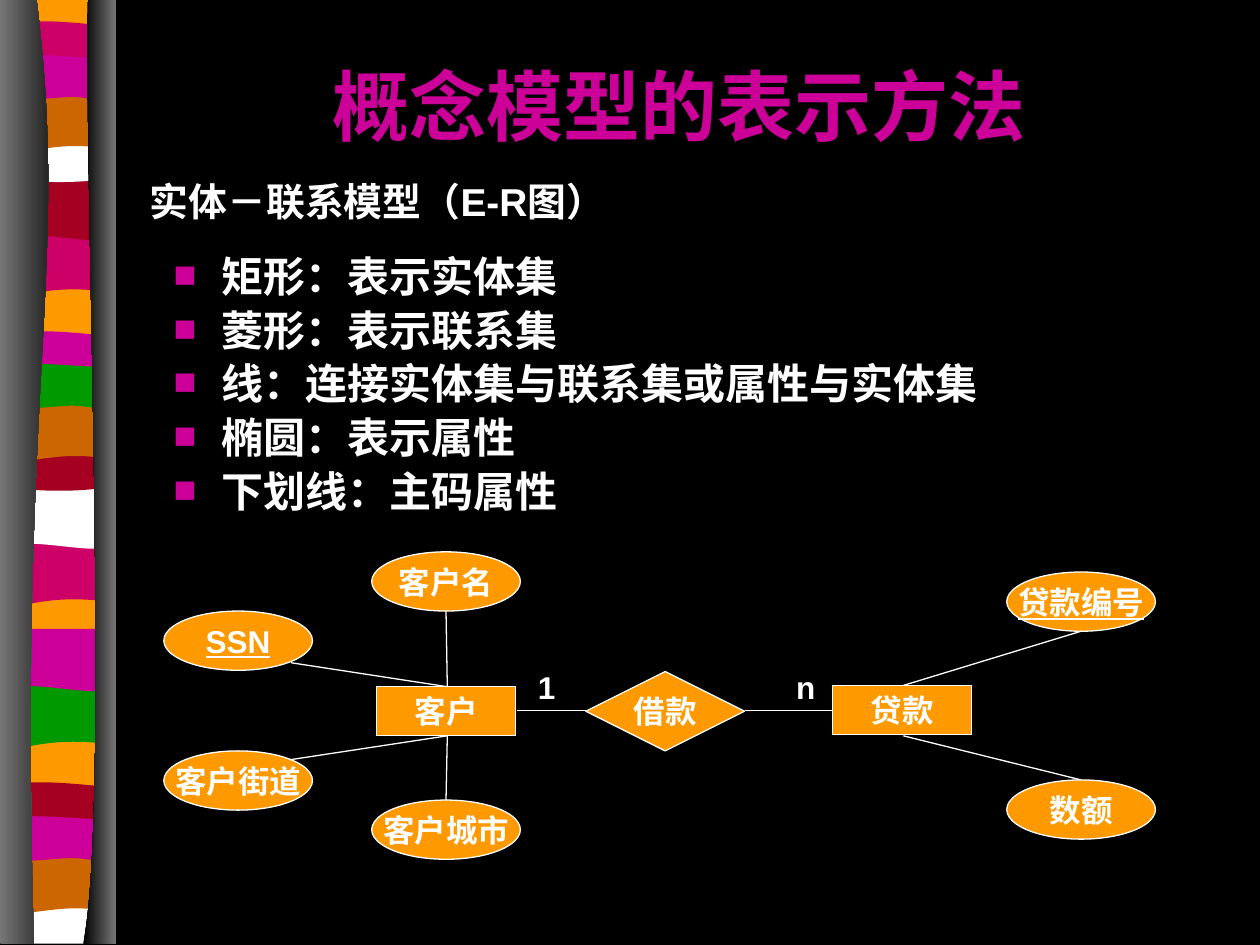
from dataclasses import dataclass

from lxml import etree
from pptx import Presentation
from pptx.dml.color import RGBColor
from pptx.enum import shapes as sh, text as tx
from pptx.oxml import ns
from pptx.util import Inches, Pt


@dataclass(frozen=True)
class Theme:
    black: str = "000000"
    gray: str = "767676"
    white: str = "FFFFFF"
    orange: str = "FF9900"
    pink: str = "CC0066"
    purple: str = "CC0099"
    red: str = "A50021"
    brown: str = "CC6600"
    green: str = "009900"
    serif: str = "Times New Roman"
    sans: str = "Arial"
    cjk: str = "Noto Sans CJK SC"
    title: float = 44
    lead: float = 22.2
    item: float = 24
    node: float = 18
    line: float = 0.75


T = Theme()
KIND = sh.MSO_SHAPE
LEFT, RIGHT = 0.04, 0.9

WAVES = {
    "dip": [(RIGHT, 0), (RIGHT, 0, RIGHT, 0.47, RIGHT, 0.47),
            (0.31, 0.39, 0.19, 0.55, LEFT, 0.47), (LEFT, 0), (RIGHT, 0)],
    "roll": [(RIGHT, 0), (RIGHT, 0.47),
             (0.75, 0.55, 0.31, 0.41, LEFT, 0.47), (LEFT, 0), (RIGHT, 0)],
    "crest": [(RIGHT, 0.05), (RIGHT, 0.29),
              (0.75, 0.33, 0.19, 0.33, LEFT, 0.29), (LEFT, 0.05),
              (0.1, 0, 0.23, 0.01, 0.37, 0.01),
              (0.51, 0.01, 0.79, 0.04, RIGHT, 0.05)],
    "bowl": [(RIGHT, 0), (RIGHT, 0.32),
             (0.75, 0.38, 0.19, 0.38, LEFT, 0.32), (LEFT, 0),
             (0.57, 0.05, 0.72, 0, RIGHT, 0)],
    "arch": [(RIGHT, 0), (RIGHT, 0, RIGHT, 0.47, RIGHT, 0.47),
             (0.77, 0.42, 0.71, 0.42, 0.57, 0.42),
             (0.43, 0.42, 0.17, 0.47, LEFT, 0.47), (LEFT, 0), (RIGHT, 0)],
    "flag": [(RIGHT, 0), (RIGHT, 0.31),
             (0.84, 0.36, 0.71, 0.31, 0.57, 0.31),
             (0.43, 0.31, 0.13, 0.36, LEFT, 0.31), (LEFT, 0),
             (0.16, -0.05, 0.62, 0, 0.76, 0),
             (0.91, 0, 0.87, 0, RIGHT, 0)],
    "foot": [(RIGHT, 0), (RIGHT, 0.37), (LEFT, 0.37), (LEFT, 0),
             (0.57, 0.05, 0.72, 0, RIGHT, 0)],
    "base": [(RIGHT, 0), (RIGHT, 7.48), (LEFT, 7.48), (LEFT, 0), (RIGHT, 0)],
}

BANDS = [
    ("base", -0.01, T.orange),
    ("dip", 1.85, T.pink), ("roll", 1.41, T.red), ("crest", 0.16, T.pink),
    ("bowl", 1.08, T.white), ("arch", 0.74, T.brown), ("flag", 0.46, T.purple),
    ("dip", 4.31, T.pink), ("roll", 3.86, T.white), ("crest", 2.62, T.purple),
    ("bowl", 3.53, T.red), ("arch", 3.2, T.brown), ("flag", 2.91, T.green),
    ("dip", 5.44, T.green), ("roll", 4.99, T.purple), ("crest", 6.2, T.red),
    ("foot", 7.12, T.white), ("arch", 6.79, T.brown), ("flag", 6.5, T.purple),
]

EDGES = [
    ([(0.29, -0.01), (0.56, 2.16, 0.14, 2.96, 0.27, 7.49), (0, 7.49),
      (0, -0.01), (0.29, -0.01)], (T.gray, T.black)),
    ([(0.7, -0.01), (0.66, 1.25, 0.88, 6.46, 0.66, 7.49), (0.92, 7.49),
      (0.92, 0), (0.7, -0.01)], (T.black, T.gray)),
]

ITEMS = ["矩形：表示实体集", "菱形：表示联系集",
         "线：连接实体集与联系集或属性与实体集", "椭圆：表示属性", "下划线：主码属性"]

SIZES = {KIND.OVAL: (1.18, 0.47), KIND.RECTANGLE: (1.1, 0.39),
         KIND.DIAMOND: (1.26, 0.63)}

NODES = [
    (KIND.OVAL, 2.95, 4.38, "客户名", False),
    (KIND.RECTANGLE, 2.99, 5.45, "客户", False),
    (KIND.OVAL, 1.3, 4.85, "SSN", True),
    (KIND.OVAL, 1.3, 5.96, "客户街道", False),
    (KIND.OVAL, 2.95, 6.35, "客户城市", False),
    (KIND.DIAMOND, 4.65, 5.33, "借款", False),
    (KIND.RECTANGLE, 6.61, 5.44, "贷款", False),
    (KIND.OVAL, 7.99, 6.19, "数额", False),
    (KIND.OVAL, 7.99, 4.54, "贷款编号", True),
]

LINKS = [
    (2.31, 5.26, 3.55, 5.45), (3.54, 4.85, 3.55, 5.45),
    (2.3, 6.03, 3.55, 5.84), (3.54, 6.35, 3.55, 5.84),
    (4.1, 5.64, 4.65, 5.64), (5.91, 5.64, 6.61, 5.64),
    (7.17, 5.44, 8.58, 5.01), (7.17, 5.84, 8.58, 6.19),
]


def rgb(code):
    return RGBColor.from_string(code)


def curve(lines):
    bend = etree.Element(ns.qn("a:cubicBezTo"))
    lines[0].addprevious(bend)
    for line in lines:
        bend.append(line[0])
        line.getparent().remove(line)


def outline(slide, steps, top=0):
    pts = [(Inches(x), Inches(y + top))
           for step in steps for x, y in zip(step[::2], step[1::2])]
    form = slide.shapes.build_freeform(*pts[0])
    form.add_line_segments(pts[1:], close=True)
    shape = form.convert_to_shape()
    lines = iter(list(shape._element.iter(ns.qn("a:lnTo"))))
    for step in steps[1:]:
        part = [next(lines) for _ in step[::2]]
        if len(part) == 3:
            curve(part)
    shape.shadow.inherit = False
    shape.line.fill.background()
    return shape


def band(slide, wave, top, color):
    shape = outline(slide, WAVES[wave], top)
    shape.fill.solid()
    shape.fill.fore_color.rgb = rgb(color)


def edge(slide, steps, colors):
    fill = outline(slide, steps).fill
    fill.gradient()
    fill.gradient_angle = 0
    for stop, color in zip(fill.gradient_stops, colors):
        stop.color.rgb = rgb(color)


def write(para, words, size, face=T.sans, color=T.white, under=False):
    run = para.add_run()
    run.text = words
    font = run.font
    font.name, font.size, font.bold = face, Pt(size), True
    font.color.rgb = rgb(color)
    if under:
        font.underline = True
    latin = run._r.rPr.find(ns.qn("a:latin"))
    east = etree.Element(ns.qn("a:ea"), typeface=T.cjk)
    latin.addnext(east)


def textbox(slide, x, y, w, h):
    box = slide.shapes.add_textbox(*map(Inches, (x, y, w, h)))
    box.text_frame.word_wrap = True
    return box.text_frame


def bullet(para):
    props = para._p.get_or_add_pPr()
    props.set("marL", str(Inches(0.38)))
    props.set("indent", str(-Inches(0.38)))
    tint = etree.SubElement(props, ns.qn("a:buClr"))
    etree.SubElement(tint, ns.qn("a:srgbClr"), val=T.purple)
    etree.SubElement(props, ns.qn("a:buSzPct"), val="90000")
    etree.SubElement(props, ns.qn("a:buFont"), typeface=T.sans)
    etree.SubElement(props, ns.qn("a:buChar"), char="■")


def listing(slide):
    frame = textbox(slide, 1.28, 2.05, 7.1, 2.21)
    for i, words in enumerate(ITEMS):
        para = frame.add_paragraph() if i else frame.paragraphs[0]
        bullet(para)
        para.line_spacing = 0.7
        if i:
            para.space_before = Pt(10.5)
        write(para, words, T.item, T.cjk)


def node(slide, kind, x, y, words, key):
    shape = slide.shapes.add_shape(kind, *map(Inches, (x, y, *SIZES[kind])))
    shape.shadow.inherit = False
    shape.fill.solid()
    shape.fill.fore_color.rgb = rgb(T.orange)
    shape.line.color.rgb = rgb(T.white)
    shape.line.width = Pt(T.line)
    frame = shape.text_frame
    frame.word_wrap = False
    frame.vertical_anchor = tx.MSO_ANCHOR.MIDDLE
    para = frame.paragraphs[0]
    para.alignment = tx.PP_ALIGN.CENTER
    write(para, words, T.node, under=key)


def link(slide, *ends):
    line = slide.shapes.add_connector(sh.MSO_CONNECTOR.STRAIGHT, *map(Inches, ends))
    line.line.color.rgb = rgb(T.white)
    line.line.width = Pt(T.line)
    etree.SubElement(line._element.spPr, ns.qn("a:effectLst"))


def main():
    deck = Presentation()
    deck.slide_width, deck.slide_height = Inches(10), Inches(7.5)
    slide = deck.slides.add_slide(deck.slide_layouts[6])
    slide.background.fill.solid()
    slide.background.fill.fore_color.rgb = rgb(T.black)
    for item in BANDS:
        band(slide, *item)
    for item in EDGES:
        edge(slide, *item)
    head = textbox(slide, 1, 0.33, 8.78, 1)
    head.vertical_anchor = tx.MSO_ANCHOR.MIDDLE
    head.paragraphs[0].alignment = tx.PP_ALIGN.CENTER
    write(head.paragraphs[0], "概念模型的表示方法", T.title, T.serif, T.purple)
    lead = textbox(slide, 1.09, 1.36, 7.22, 0.5)
    write(lead.paragraphs[0], "实体－联系模型（E-R图）", T.lead)
    listing(slide)
    for item in NODES:
        node(slide, *item)
    for item in LINKS:
        link(slide, *item)
    for x, words in ((4.17, "1"), (6.22, "n")):
        mark = textbox(slide, x, 5.25, 0.39, 0.4)
        write(mark.paragraphs[0], words, T.node)
    deck.save("out.pptx")


if __name__ == "__main__":
    main()
